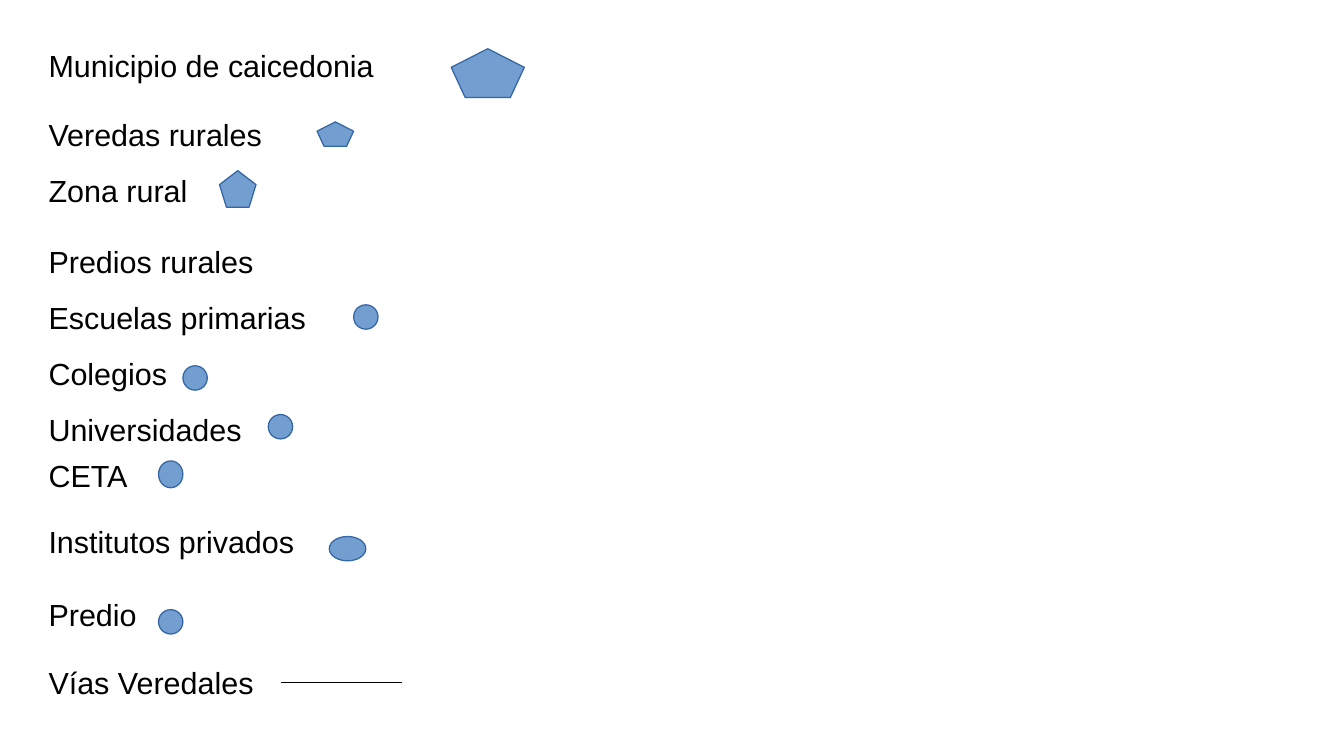
from lxml import etree
from pptx import Presentation
from pptx.dml.color import RGBColor
from pptx.enum.shapes import MSO_CONNECTOR, MSO_SHAPE
from pptx.oxml.ns import qn
from pptx.util import Inches, Pt

PENTAGON = MSO_SHAPE.REGULAR_PENTAGON
CIRCLE = MSO_SHAPE.OVAL
STRAIGHT = MSO_CONNECTOR.STRAIGHT

SLIDE_WIDTH, SLIDE_HEIGHT = 11.02, 6.2
LEGEND_LEFT, LABEL_WIDTH, LABEL_HEIGHT = 0.3, 3.1, 0.46
FONT, FONT_SIZE, LINE_WIDTH = "Arial", 18, 0.75
BLACK, SYMBOL_FILL, SYMBOL_LINE = "000000", "729FCF", "3465A4"

# Label, row top, symbol kind, symbol box: left and top within the row, width, height
LEGEND = [
    ("Municipio de caicedonia", 0.34, PENTAGON, (3.4, 0.06, 0.6, 0.4)),
    ("Veredas rurales", 0.9, PENTAGON, (2.3, 0.1, 0.3, 0.2)),
    ("Zona rural", 1.36, PENTAGON, (1.5, 0.04, 0.3, 0.3)),
    ("Predios rurales", 1.94, None, None),
    ("Escuelas primarias", 2.4, CIRCLE, (2.6, 0.1, 0.2, 0.2)),
    ("Colegios", 2.86, CIRCLE, (1.2, 0.14, 0.2, 0.2)),
    ("Universidades", 3.32, CIRCLE, (1.9, 0.08, 0.2, 0.2)),
    ("CETA", 3.7, CIRCLE, (1.0, 0.08, 0.2, 0.22)),
    ("Institutos privados", 4.24, CIRCLE, (2.4, 0.16, 0.3, 0.2)),
    ("Predio", 4.84, CIRCLE, (1.0, 0.16, 0.2, 0.2)),
    ("Vías Veredales", 5.4, STRAIGHT, (2.0, 0.2, 1.0, 0)),
]


def color(hex_string):
    return RGBColor.from_string(hex_string)


def style_line(line, hex_string):
    line.color.rgb = color(hex_string)
    line.width = Pt(LINE_WIDTH)


def add_label(page, text, left, top):
    box = page.shapes.add_textbox(
        Inches(left), Inches(top), Inches(LABEL_WIDTH), Inches(LABEL_HEIGHT))
    box.text_frame.word_wrap = True
    box.text_frame.text = text
    font = box.text_frame.paragraphs[0].runs[0].font
    font.name, font.size = FONT, Pt(FONT_SIZE)
    font.color.rgb = color(BLACK)


def add_symbol(page, kind, left, top, width, height):
    shape = page.shapes.add_shape(
        kind, Inches(left), Inches(top), Inches(width), Inches(height))
    shape.shadow.inherit = False
    shape.fill.solid()
    shape.fill.fore_color.rgb = color(SYMBOL_FILL)
    style_line(shape.line, SYMBOL_LINE)


def add_road(page, left, top, width, height):
    road = page.shapes.add_connector(
        STRAIGHT, Inches(left), Inches(top),
        Inches(left + width), Inches(top + height))
    style_line(road.line, BLACK)
    etree.SubElement(road.element.spPr, qn("a:effectLst"))


def add_legend_row(page, left, top, text, kind, symbol_box):
    add_label(page, text, left, top)
    if symbol_box is None:
        return
    offset_x, offset_y, width, height = symbol_box
    place = (left + offset_x, top + offset_y, width, height)
    if kind is STRAIGHT:
        add_road(page, *place)
    else:
        add_symbol(page, kind, *place)


def main():
    deck = Presentation()
    deck.slide_width, deck.slide_height = Inches(SLIDE_WIDTH), Inches(SLIDE_HEIGHT)
    page = deck.slides.add_slide(deck.slide_layouts.get_by_name("Blank"))
    for text, top, kind, symbol_box in LEGEND:
        add_legend_row(page, LEGEND_LEFT, top, text, kind, symbol_box)
    deck.save("out.pptx")


if __name__ == "__main__":
    main()
